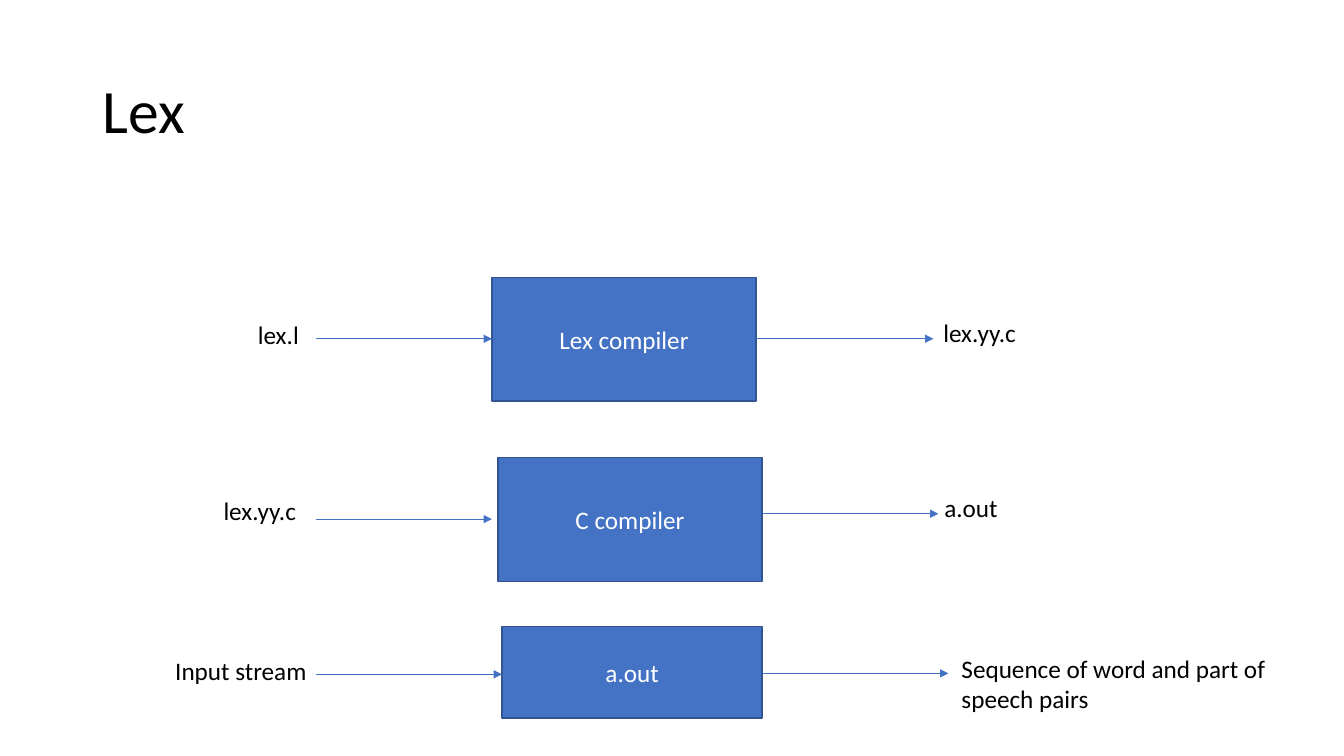
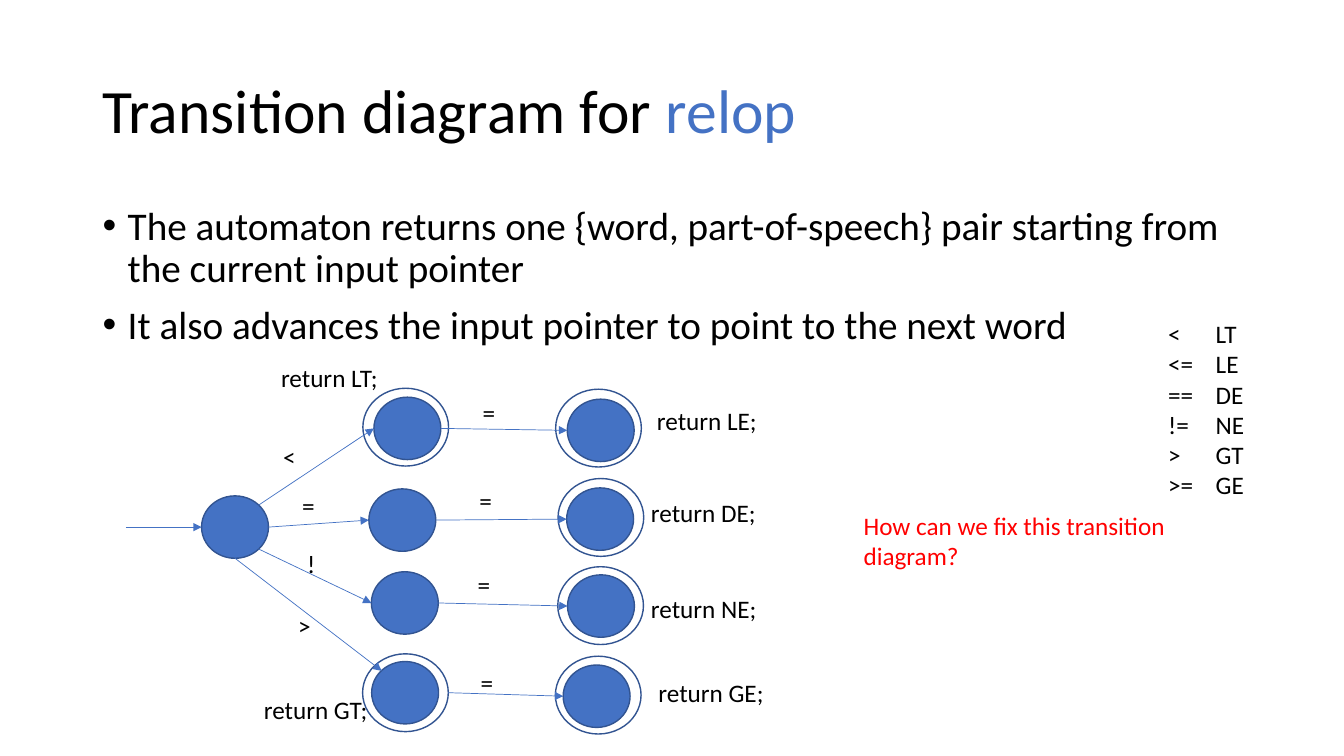
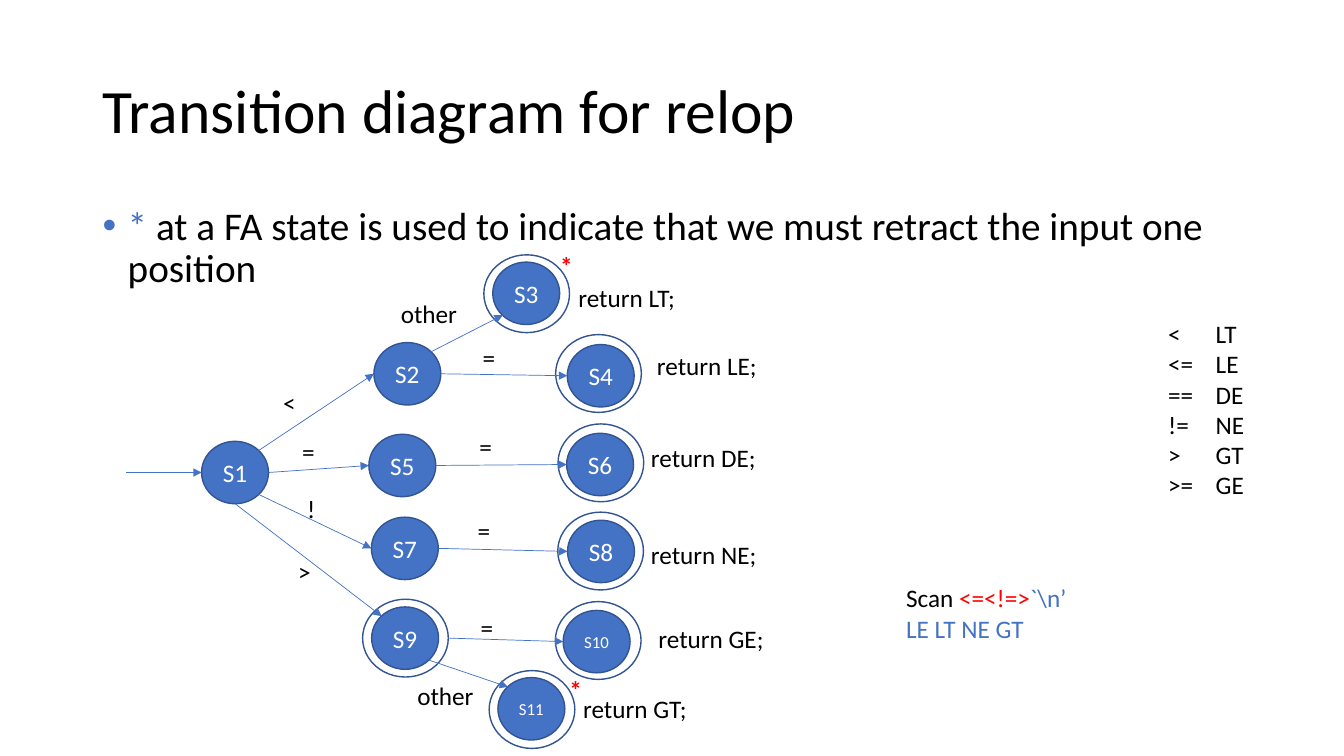
import pptx
import pptx.util
import pptx.dml.color
import pptx.enum.shapes
import pptx.enum.text
import pptx.oxml.ns
from lxml import etree

Pt = pptx.util.Pt
RGBColor = pptx.dml.color.RGBColor
Shape = pptx.enum.shapes.MSO_SHAPE
Anchor = pptx.enum.text.MSO_ANCHOR
Align = pptx.enum.text.PP_ALIGN
Fit = pptx.enum.text.MSO_AUTO_SIZE

BLUE = RGBColor(0x44, 0x72, 0xC4)
NAVY = RGBColor(0x32, 0x54, 0x91)
BLACK = RGBColor(0, 0, 0)
WHITE = RGBColor(255, 255, 255)
RED = RGBColor(255, 0, 0)

STATE = (47.8, 44.6)
RING = (61.2, 55.6)
LABEL = (130, 29)

# Points on an ellipse, as shares of its width and height
SITES = {"w": (0, 0.5), "e": (1, 0.5), "s": (0.5, 1),
         "nw": (0.15, 0.15), "ne": (0.85, 0.15),
         "sw": (0.15, 0.85), "se": (0.85, 0.85)}


def site(spot, side, size=STATE):
    return tuple(p + f * s for p, f, s in zip(spot, SITES[side], size))


class Deck:
    FONT = "Calibri"
    BODY = {"line_spacing": 0.9}

    def __init__(self):
        self.file = pptx.Presentation()
        self.file.slide_width, self.file.slide_height = Pt(960), Pt(540)
        self.slide = None

    def page(self, *title):
        self.slide = self.file.slides.add_slide(self.file.slide_layouts[6])
        self.text((66.2, 28.8), (828, 104.4), [title], 44, form=self.BODY,
                  frame={"vertical_anchor": Anchor.MIDDLE})

    def dress(self, item, form):
        for key, val in form.items():
            setattr(item, key, val)

    def fill(self, para, runs, size, color, bold=None):
        """A run is a string, or a (string, color) pair."""
        for part in runs:
            words, tint = (part, color) if isinstance(part, str) else part
            run = para.add_run()
            run.text = words
            self.dress(run.font, {"name": self.FONT, "size": Pt(size), "bold": bold})
            run.font.color.rgb = tint

    def text(self, spot, size, paras, points=18, color=BLACK, bold=None,
             form=None, frame=None, bullet=False, tab=None):
        box = self.slide.shapes.add_textbox(*map(Pt, spot + size)).text_frame
        self.dress(box, {"word_wrap": True, **(frame or {})})
        for num, runs in enumerate(paras):
            para = box.add_paragraph() if num else box.paragraphs[0]
            self.dress(para, form or {})
            if bullet:
                self.dot(para)
                if num:
                    para.space_before = Pt(10)
            if tab:
                self.tab(para, tab)
            self.fill(para, runs, points, color, bold)

    def dot(self, para):
        prop = para._p.get_or_add_pPr()
        prop.set("marL", str(Pt(18)))
        prop.set("indent", str(-Pt(18)))
        font = etree.SubElement(prop, pptx.oxml.ns.qn("a:buFont"))
        font.set("typeface", "Arial")
        etree.SubElement(prop, pptx.oxml.ns.qn("a:buChar")).set("char", "•")

    def tab(self, para, pos):
        stops = etree.SubElement(para._p.get_or_add_pPr(), pptx.oxml.ns.qn("a:tabLst"))
        stop = etree.SubElement(stops, pptx.oxml.ns.qn("a:tab"))
        stop.set("pos", str(Pt(pos)))
        stop.set("algn", "l")

    def label(self, spot, *runs, size=LABEL, **style):
        self.text(spot, size, [runs], frame={"auto_size": Fit.SHAPE_TO_FIT_TEXT}, **style)

    def body(self, *paras):
        self.text((66.2, 144), (828, 342.7), paras, 28, form=self.BODY, bullet=True)

    def shape(self, kind, spot, size, words="", points=18, fill=BLUE):
        item = self.slide.shapes.add_shape(kind, *map(Pt, spot + size))
        item.shadow.inherit = False
        if fill is None:
            item.fill.background()
        else:
            item.fill.solid()
            item.fill.fore_color.rgb = fill
        item.line.color.rgb = NAVY
        item.line.width = Pt(1)
        if words:
            item.text_frame.vertical_anchor = Anchor.MIDDLE
            para = item.text_frame.paragraphs[0]
            para.alignment = Align.CENTER
            self.fill(para, [words], points, WHITE)

    def ring(self, spot):
        self.shape(Shape.OVAL, spot, RING, fill=None)

    def state(self, spot, name=""):
        self.shape(Shape.OVAL, spot, STATE, name, 12 if len(name) > 2 else 18)

    def arrow(self, start, end):
        line = self.slide.shapes.add_connector(
            pptx.enum.shapes.MSO_CONNECTOR.STRAIGHT, *map(Pt, start + end))
        line.line.color.rgb = BLUE
        line.line.width = Pt(0.5)
        prop = line._element.spPr
        tip = etree.SubElement(prop.find(pptx.oxml.ns.qn("a:ln")),
                               pptx.oxml.ns.qn("a:tailEnd"))
        tip.set("type", "triangle")
        etree.SubElement(prop, pptx.oxml.ns.qn("a:effectLst"))

    # Token list at the right
    def tokens(self):
        pairs = (("<", "LT"), ("<=", "LE"), ("==", "DE"),
                 ("!=", "NE"), (">", "GT"), (">=", "GE"))
        self.text((827.3, 223.9), (114.5, 138.2),
                  [[f"{sign}\t{name}"] for sign, name in pairs], tab=34)

    # State graph: shared by both transition slides, moved up by "rise"
    def graph(self, rise=0, names=None, rings=("GT",)):
        def up(x, y):
            return x, y - rise

        names = names or {}
        spots = {key: up(*spot) for key, spot in STATES.items()}
        hoops = {key: up(*spot) for key, spot in RINGS.items()}
        for key, spot in hoops.items():
            if key in ENDS or key in rings:
                self.ring(spot)
        for key, spot in spots.items():
            self.state(spot, names.get(key, ""))
        root = spots["root"]
        self.arrow((90, site(root, "w")[1]), site(root, "w"))
        for sign, spot, out, mid, into, end, mark in BRANCHES:
            self.arrow(site(root, out), site(spots[mid], into))
            self.label(up(*spot), sign)
            tail = site(hoops[mid], "e", RING) if mid == "GT" else site(spots[mid], "e")
            self.arrow(tail, site(spots[end], "w"))
            self.label(up(*mark), "=")
        for key, spot in ENDS.items():
            self.label(up(*spot), f"return {key};")


STATES = {"root": (144, 354.2), "LT": (267.1, 283.7), "LE": (405.2, 285.1),
          "EQ": (263.5, 349.2), "DE": (404.8, 348.5), "NOT": (265.3, 408.4),
          "NE": (405.4, 410.6), "GT": (265.5, 472.5), "GE": (402.3, 475)}
RINGS = {"LT": (259.2, 277.3), "LE": (396.9, 278), "DE": (398.6, 341.8),
         "NE": (398.4, 404.8), "GE": (396.7, 468.7), "GT": (259, 467)}
ENDS = {"LE": (462.2, 285.8), "DE": (457.9, 351.4),
        "NE": (457.9, 420.5), "GE": (463.3, 480.4)}
# Sign, its place, root side, middle state, its side, end state, place of "="
BRANCHES = (("<", (195.1, 311.8), "ne", "LT", "w", "LE", (337.7, 280.1)),
            ("=", (208.8, 347), "e", "EQ", "w", "DE", (335.3, 343.4)),
            ("!", (212.4, 388.1), "se", "NOT", "w", "NE", (334.1, 403.2)),
            (">", (205.9, 432.7), "s", "GT", "nw", "GE", (336.2, 473)))


def main():
    deck = Deck()

    # Lex: input, tool, output in each row
    deck.page("Lex")
    wide = (188.6, 88.4)
    rows = (
        ("lex.l", (177.1, 224.6), "Lex compiler", (351.4, 198), wide,
         351.4, 242, 242, 126.7, "lex.yy.c", (666.7, 223.2), 188.6),
        ("lex.yy.c", (152.6, 350.6), "C compiler", (355.7, 326.9), wide,
         351.4, 370.8, 367, 126, "a.out", (667.4, 348), 188.6),
        ("Input stream", (118.1, 464.6), "a.out", (358.6, 447.4), (185.8, 65.5),
         358.6, 481.7, 481, 133, "Sequence of word and part of speech pairs",
         (679.7, 463), 255.6))
    for (src, left, tool, spot, size, stop, high, low, span,
         out, right, width) in rows:
        edge = spot[0] + size[0]
        deck.shape(Shape.RECTANGLE, spot, size, tool)
        deck.arrow((225.4, high), (stop, high))
        deck.arrow((edge, low), (edge + span, low))
        deck.label(left, src)
        deck.label(right, out, size=(width, 29))

    # First transition diagram
    deck.page("Transition diagram for ", ("relop", BLUE))
    deck.body(["The automaton returns one {word, part-of-speech} pair "
               "starting from the current input pointer"],
              ["It also advances the input pointer to point to the next word"])
    deck.tokens()
    deck.graph(rings=("LT", "GT"))
    deck.label((181.4, 492.5), "return GT;")
    deck.label((193.7, 254.9), "return LT;")
    deck.label((609.8, 360.7), "How can we fix this transition diagram?",
               size=(230.4, 51), color=RED)

    # Second diagram, with named states and two more ends
    deck.page("Transition diagram for relop")
    deck.body([("*", BLUE), " at a FA state is used to indicate that we must "
               "retract the input one position"])
    deck.tokens()
    rise = 39
    deck.graph(rise, {"root": "S1", "LT": "S2", "LE": "S4", "EQ": "S5", "DE": "S6",
                      "NOT": "S7", "NE": "S8", "GT": "S9", "GE": "S10"})
    more = (("S3", "LT", (345.6, 182), (352, 187.2), "ne", "sw",
             (406.1, 198), (393.1, 175), (279.2, 209.5)),
            ("S11", "GT", (349.4, 479), (355.7, 484), "se", "nw",
             (409.5, 491.8), (399.6, 478.1), (291, 482.4)))
    for name, key, hoop, spot, out, into, back, star, other in more:
        x, y = STATES[key]
        deck.ring(hoop)
        deck.state(spot, name)
        deck.arrow(site((x, y - rise), out), site(spot, into))
        deck.label(back, f"return {key};")
        deck.label(star, "*", color=RED, bold=True)
        deck.label(other, "other")
    deck.text((640.1, 412.6), (165.6, 51),
              [["Scan ", ("<=<!=>", RED), (r"`\n’", BLUE)],
               [("LE LT NE GT", BLUE)]])

    deck.file.save("out.pptx")


if __name__ == "__main__":
    main()
